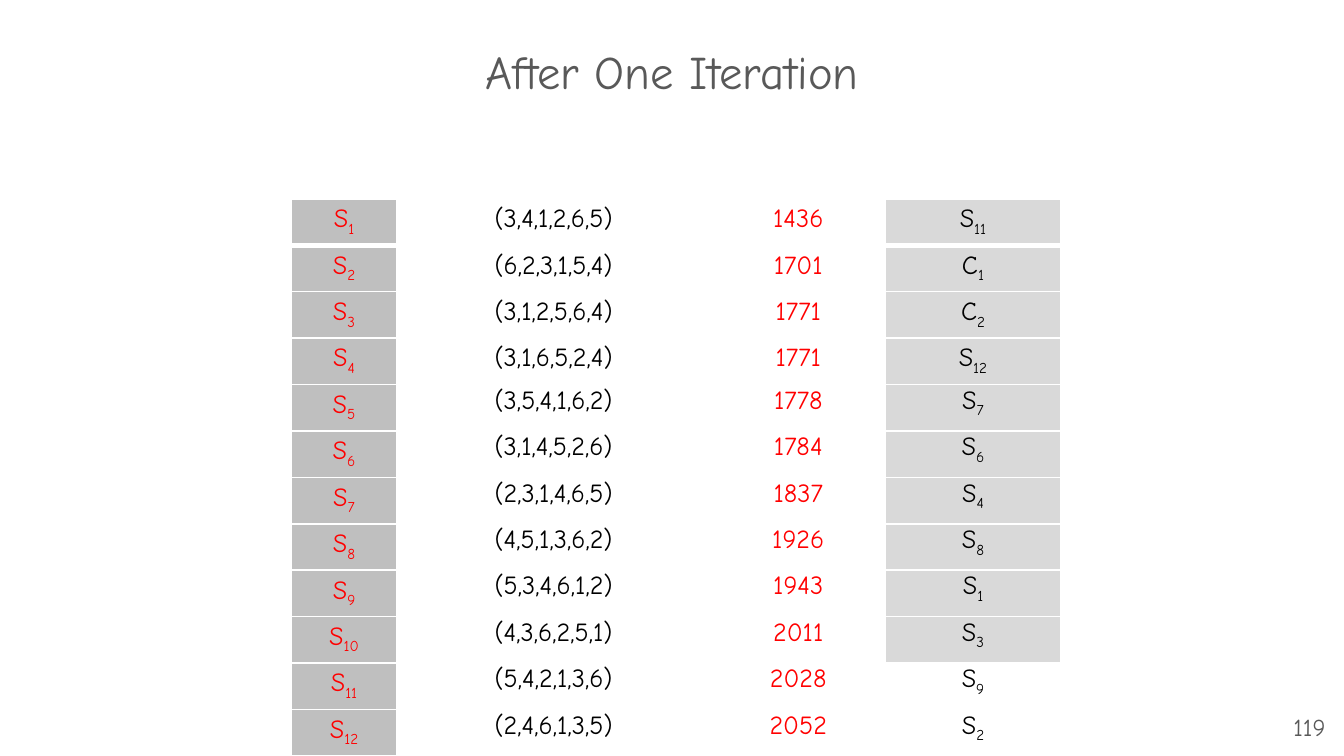
from lxml.etree import SubElement
from pptx import Presentation
from pptx.dml.color import RGBColor
from pptx.enum.text import MSO_ANCHOR, PP_ALIGN
from pptx.oxml.ns import qn
from pptx.util import Inches, Pt

FONT = "Comic Neue"
GRAY, RED, BLACK, WHITE = "595959", "FF0000", "000000", "FFFFFF"
LABEL_FILL, SELECTED_FILL = "BFBFBF", "D9D9D9"
SLIDE_WIDTH = 10
SLIDE_HEIGHT = SLIDE_WIDTH * 9 / 16
COLUMN_WIDTHS = (0.78, 2.34, 1.3, 1.3)
ROW_HEIGHT = 0.3
WIDE_MARGINS = (0.1, 0.04, 0.1, 0.04)
TIGHT_MARGINS = (0.01, 0.01, 0.01, 0)
FIRST_TIGHT_ROW = 4
SELECTED_ROWS = 10

# Tour, its cost, and the member that takes its place; "_" starts a subscript.
SOLUTIONS = [
    ("(3,4,1,2,6,5)", "1436", "S_11"),
    ("(6,2,3,1,5,4)", "1701", "C_1"),
    ("(3,1,2,5,6,4)", "1771", "C_2"),
    ("(3,1,6,5,2,4)", "1771", "S_12"),
    ("(3,5,4,1,6,2)", "1778", "S_7"),
    ("(3,1,4,5,2,6)", "1784", "S_6"),
    ("(2,3,1,4,6,5)", "1837", "S_4"),
    ("(4,5,1,3,6,2)", "1926", "S_8"),
    ("(5,3,4,6,1,2)", "1943", "S_1"),
    ("(4,3,6,2,5,1)", "2011", "S_3"),
    ("(5,4,2,1,3,6)", "2028", "S_9"),
    ("(2,4,6,1,3,5)", "2052", "S_2"),
]


def rgb(color):
    return RGBColor.from_string(color)


def write_text(frame, text, size=14, color=BLACK, align=PP_ALIGN.CENTER):
    """Fill the first paragraph; what follows "_" becomes a subscript."""
    paragraph = frame.paragraphs[0]
    paragraph.alignment = align
    base, _, subscript = text.partition("_")
    for part, baseline in ((base, None), (subscript, "-25000")):
        if not part:
            continue
        run = paragraph.add_run()
        run.text = part
        run.font.name = FONT
        run.font.size = Pt(size)
        run.font.color.rgb = rgb(color)
        if baseline:
            run._r.get_or_add_rPr().set("baseline", baseline)


def set_margins(target, margins):
    left, top, right, bottom = (Inches(margin) for margin in margins)
    target.margin_left, target.margin_top = left, top
    target.margin_right, target.margin_bottom = right, bottom


def add_text_box(slide, box, text, margins, **text_format):
    shape = slide.shapes.add_textbox(*(Inches(length) for length in box))
    frame = shape.text_frame
    frame.word_wrap = True
    frame.vertical_anchor = MSO_ANCHOR.MIDDLE
    set_margins(frame, margins)
    write_text(frame, text, **text_format)


def set_borders(cell, color, top=1, bottom=1):
    properties = cell._tc.get_or_add_tcPr()
    for side, width in (("L", 1), ("R", 1), ("T", top), ("B", bottom)):
        line = SubElement(properties, qn(f"a:ln{side}"), w=str(Pt(width)))
        fill = SubElement(line, qn("a:solidFill"))
        SubElement(fill, qn("a:srgbClr"), val=color)


def format_cell(cell, text, color, fill, margins, **borders):
    set_margins(cell, margins)
    set_borders(cell, WHITE, **borders)
    if fill:
        cell.fill.solid()
        cell.fill.fore_color.rgb = rgb(fill)
    else:
        cell.fill.background()
    write_text(cell.text_frame, text, color=color)


def add_solution_table(slide, left, top, width, height):
    frame = slide.shapes.add_table(
        len(SOLUTIONS), len(COLUMN_WIDTHS),
        Inches(left), Inches(top), Inches(width), Inches(height))
    table = frame.table
    table.first_row = table.horz_banding = False
    for column, column_width in zip(table.columns, COLUMN_WIDTHS):
        column.width = Inches(column_width)

    for index, (tour, cost, successor) in enumerate(SOLUTIONS):
        table.rows[index].height = Inches(ROW_HEIGHT)
        value_margins = WIDE_MARGINS if index < FIRST_TIGHT_ROW else TIGHT_MARGINS
        successor_fill = SELECTED_FILL if index < SELECTED_ROWS else None
        borders = {"top": 3 if index == 1 else 1, "bottom": 3 if index == 0 else 1}
        contents = [
            (f"S_{index + 1}", RED, LABEL_FILL, WIDE_MARGINS),
            (tour, BLACK, None, value_margins),
            (cost, RED, None, value_margins),
            (successor, BLACK, successor_fill, value_margins),
        ]
        for column, content in enumerate(contents):
            format_cell(table.cell(index, column), *content, **borders)

    # Sizing rows and columns resizes the frame, so its own size comes last.
    frame.width, frame.height = Inches(width), Inches(height)


def main():
    presentation = Presentation()
    presentation.slide_width = Inches(SLIDE_WIDTH)
    presentation.slide_height = Inches(SLIDE_HEIGHT)
    slide = presentation.slides.add_slide(presentation.slide_layouts[6])

    add_text_box(slide, (0, 0, SLIDE_WIDTH, 1.06), "After One Iteration",
                 (0.1, 0.05, 0.1, 0.05), size=25, color=GRAY)
    add_solution_table(slide, 2.17, 1.48, 3.28, 3.28)
    add_text_box(slide, (9.36, 5.19, 0.6, 0.43), "119", (0.1, 0.1, 0.1, 0.1),
                 size=13, color=GRAY, align=PP_ALIGN.RIGHT)

    presentation.save("out.pptx")


if __name__ == "__main__":
    main()
